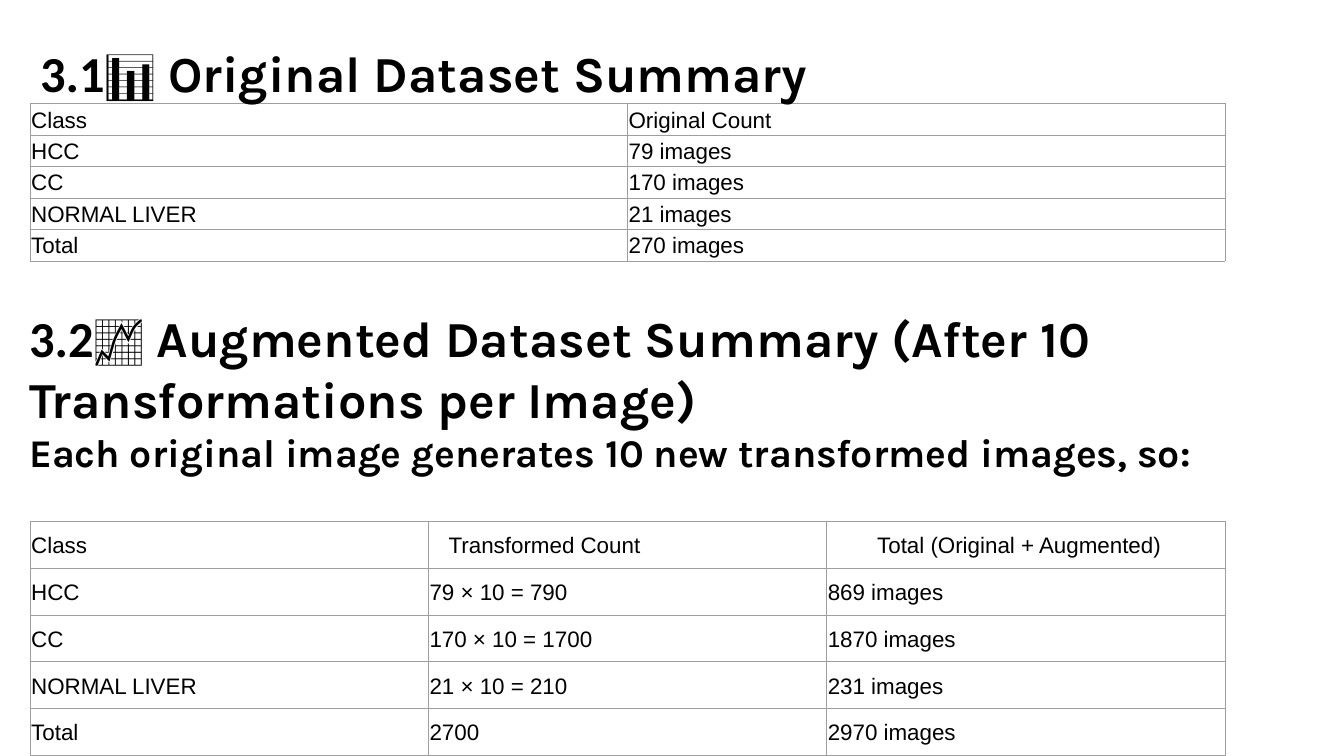
from dataclasses import dataclass

from lxml import etree
from pptx import Presentation, util as u
from pptx.dml import color
from pptx.enum import text
from pptx.oxml import ns


@dataclass(frozen=True)
class Theme:
    ink: str = "000000"
    grid: str = "9E9E9E"
    number_font: str = "Calibri"
    heading_font: str = "Karla"
    table_font: str = "Arial"
    heading: int = 36
    subheading: int = 28
    cell: int = 16
    border: float = 0.75


class Deck:
    def __init__(self, theme):
        self.theme = theme
        self.prs = Presentation()
        self.prs.slide_width = u.Inches(13.33)
        self.prs.slide_height = u.Inches(7.5)
        self.s = self.prs.slides.add_slide(self.prs.slide_layouts[6])

    def place(self, left, top, width, height):
        w, h = self.prs.slide_width, self.prs.slide_height
        return [round(share * side / 100) for share, side in
                ((left, w), (top, h), (width, w), (height, h))]

    def format(self, target, **values):
        for name, value in values.items():
            setattr(target, name, value)

    def run(self, p, words, font, size, bold=False):
        r = p.add_run()
        r.text = words
        self.format(r.font, name=font, size=u.Pt(size), bold=bold)
        r.font.color.rgb = color.RGBColor.from_string(self.theme.ink)

    def heading(self, area, number, words, subheading=None):
        t = self.theme
        tf = self.s.shapes.add_textbox(*self.place(*area)).text_frame
        self.format(tf, word_wrap=True, vertical_anchor=text.MSO_ANCHOR.MIDDLE,
                    auto_size=text.MSO_AUTO_SIZE.SHAPE_TO_FIT_TEXT)
        p = tf.paragraphs[0]
        self.run(p, number, t.number_font, t.heading, True)
        self.run(p, f" {words}", t.heading_font, t.heading, True)
        if subheading:
            self.run(tf.add_paragraph(), subheading, t.heading_font, t.subheading, True)

    def borders(self, cell):
        tcPr = cell._tc.get_or_add_tcPr()
        for i, side in enumerate(("lnL", "lnR", "lnT", "lnB")):
            ln = etree.Element(ns.qn(f"a:{side}"), w=str(u.Pt(self.theme.border)))
            fill = etree.SubElement(ln, ns.qn("a:solidFill"))
            etree.SubElement(fill, ns.qn("a:srgbClr"), val=self.theme.grid)
            tcPr.insert(i, ln)

    def table(self, area, rows, header_indents):
        t = self.theme
        left, top, width, height = self.place(*area)
        table = self.s.shapes.add_table(len(rows), len(rows[0]), left, top, width, height).table
        self.format(table, first_row=False, horz_banding=False)
        for column in table.columns:
            column.width = width // len(rows[0])
        for i, row in enumerate(rows):
            table.rows[i].height = height // len(rows)
            for j, words in enumerate(row):
                cell = table.cell(i, j)
                indent = header_indents[j] if i == 0 else 0
                edge = u.Inches(0.01)
                self.format(cell, margin_left=edge + u.Inches(indent), margin_right=edge,
                            margin_top=edge, margin_bottom=edge,
                            vertical_anchor=text.MSO_ANCHOR.MIDDLE)
                cell.fill.background()
                self.borders(cell)
                p = cell.text_frame.paragraphs[0]
                self.format(p, line_spacing=1.07, space_after=u.Pt(8))
                self.run(p, words, t.table_font, t.cell)


def main():
    deck = Deck(Theme())
    deck.table((2.25, 13.73, 88.9, 20.8), [
        ("Class", "Original Count"),
        ("HCC", "79 images"),
        ("CC", "170 images"),
        ("NORMAL LIVER", "21 images"),
        ("Total", "270 images"),
    ], (0, 0))
    deck.heading((2.25, 4.8, 93.62, 9.47), "3.1📊", "Original Dataset Summary")
    deck.table((2.25, 68.93, 88.9, 31.07), [
        ("Class", "Transformed Count", "Total (Original + Augmented)"),
        ("HCC", "79 × 10 = 790", "869 images"),
        ("CC", "170 × 10 = 1700", "1870 images"),
        ("NORMAL LIVER", "21 × 10 = 210", "231 images"),
        ("Total", "2700", "2970 images"),
    ], (0, 0.19, 0.49))
    deck.heading((1.43, 39.87, 89.72, 23.73), "3.2📈",
                 "Augmented Dataset Summary (After 10 Transformations per Image)",
                 "Each original image generates 10 new transformed images, so:")
    deck.prs.save("out.pptx")


if __name__ == "__main__":
    main()
